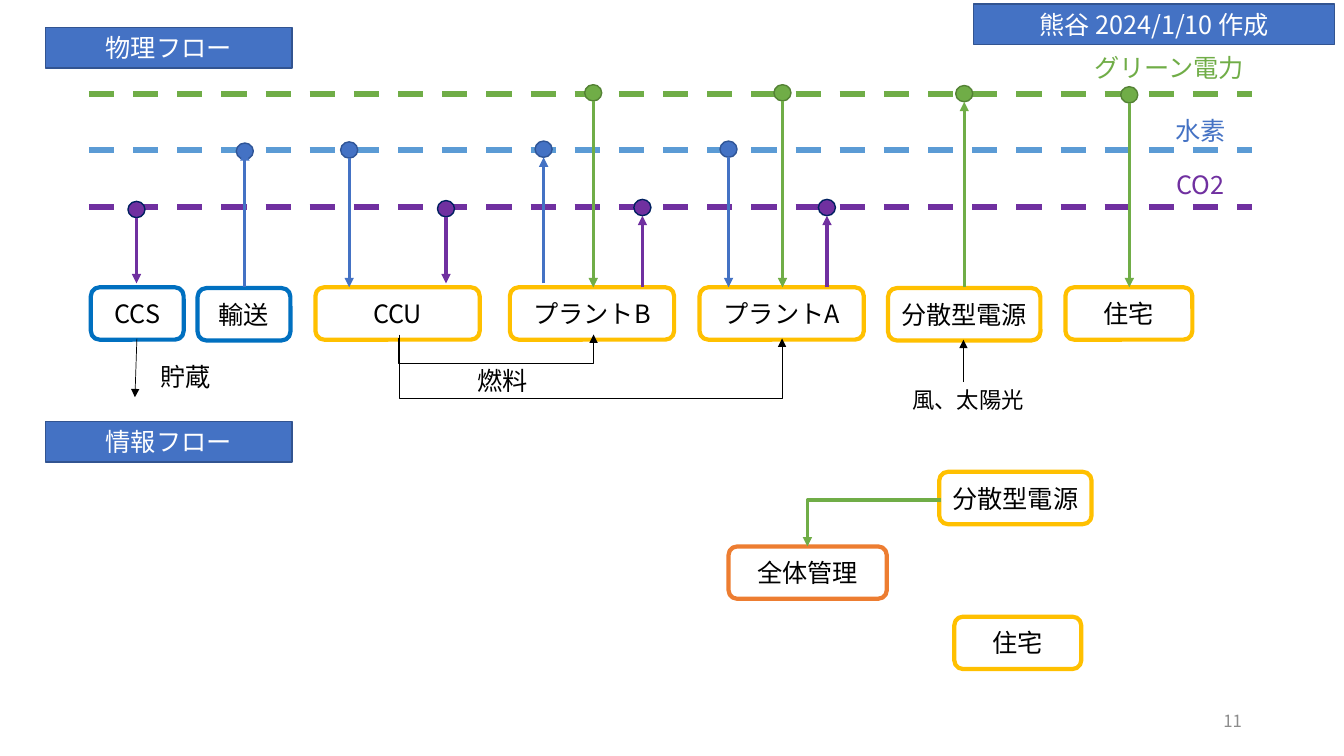
from dataclasses import dataclass

from lxml.etree import SubElement
from pptx import Presentation
from pptx.dml.color import RGBColor
from pptx.enum.dml import MSO_LINE
from pptx.enum.shapes import MSO_CONNECTOR, MSO_SHAPE
from pptx.enum.text import MSO_ANCHOR, MSO_AUTO_SIZE, PP_ALIGN
from pptx.oxml.ns import qn
from pptx.util import Cm, Pt

FONT = "Noto Sans CJK JP"
COLORS = {
    "black": "000000", "white": "FFFFFF", "grey": "8C8C8C",
    "banner": "4472C4", "banner_edge": "325491",
    "green": "70AD47", "green_edge": "548235",
    "hydrogen": "4472C4", "hydrogen_edge": "2F5597", "hydrogen_bus": "5B9BD5",
    "co2": "7030A0", "co2_edge": "002060",
    "plant": "FFC000", "carbon_sink": "0070C0", "management": "ED7D31",
}
DOT_WIDTH, DOT_HEIGHT = 0.43, 0.41
BOX_TOP, BOX_HEIGHT = 7.24, 1.32


@dataclass
class Bus:
    color: str
    y: float


@dataclass
class Box:
    text: str
    left: float
    top: float
    width: float
    color: str = "plant"


@dataclass
class Flow:
    """A link between a dot on a bus and a box; upward means towards the bus."""
    carrier: str
    x: float
    dot_y: float
    upward: bool = False
    box_y: float = BOX_TOP
    gap: float = DOT_HEIGHT / 2


@dataclass
class Label:
    text: str
    left: float
    top: float
    width: float
    color: str = "black"
    size: int = 18


BUSES = [Bus("co2", 5.21), Bus("hydrogen_bus", 3.78), Bus("green", 2.36)]
BOXES = [
    Box("CCS", 2.29, BOX_TOP, 2.34, "carbon_sink"),
    Box("輸送", 4.98, 7.26, 2.34, "carbon_sink"),
    Box("CCU", 7.95, BOX_TOP, 4.14),
    Box("プラントB", 12.85, BOX_TOP, 4.14),
    Box("プラントA", 17.63, BOX_TOP, 4.14),
    Box("分散型電源", 22.38, 7.26, 3.84),
    Box("住宅", 26.85, BOX_TOP, 3.2),
    Box("分散型電源", 23.67, 11.89, 3.84),
    Box("全体管理", 18.36, 13.77, 3.99, "management"),
    Box("住宅", 24.05, 15.54, 3.2),
]
FLOWS = [
    Flow("co2", 3.44, 5.28, box_y=7.14),
    Flow("co2", 11.24, 5.26, box_y=7.14),
    Flow("co2", 16.19, 5.23, upward=True),
    Flow("co2", 20.84, 5.23, upward=True),
    Flow("hydrogen", 6.17, 3.81, upward=True, gap=0),
    Flow("hydrogen", 8.8, 3.78),
    Flow("hydrogen", 13.7, 3.76, upward=True, box_y=7.14),
    Flow("hydrogen", 18.36, 3.76),
    Flow("green", 14.95, 2.34),
    Flow("green", 19.72, 2.34),
    Flow("green", 24.3, 2.36, upward=True),
    Flow("green", 28.46, 2.39),
]
LABELS = [
    Label("グリーン電力", 27.28, 1.19, 4.37, "green"),
    Label("水素", 29.36, 2.79, 1.8, "hydrogen"),
    Label("CO2", 29.36, 4.14, 1.78, "co2"),
    Label("貯蔵", 3.63, 8.97, 2.08),
    Label("燃料", 11.63, 9.09, 2.08),
    Label("風、太陽光", 22.38, 9.6, 4.04, size=16),
]


def rgb(name: str) -> RGBColor:
    return RGBColor.from_string(COLORS[name])


def write_text(shape, text: str, *, color="black", size=18, align=PP_ALIGN.CENTER,
               anchor=MSO_ANCHOR.MIDDLE) -> None:
    frame = shape.text_frame
    frame.auto_size = MSO_AUTO_SIZE.NONE
    frame.word_wrap = False
    frame.vertical_anchor = anchor
    paragraph = frame.paragraphs[0]
    paragraph.alignment = align
    run = paragraph.add_run()
    run.text = text
    run.font.size = Pt(size)
    run.font.name = FONT
    run.font.color.rgb = rgb(color)
    SubElement(run.font._element, qn("a:ea"), typeface=FONT)


def place(shape, left: float, top: float, width: float, height: float) -> None:
    shape.left, shape.top = Cm(left), Cm(top)
    shape.width, shape.height = Cm(width), Cm(height)


def paint(shape, fill: str | None, edge: str, weight: float) -> None:
    if fill:
        shape.fill.solid()
        shape.fill.fore_color.rgb = rgb(fill)
    else:
        shape.fill.background()
    shape.line.color.rgb = rgb(edge)
    shape.line.width = Pt(weight)


def add_preset(slide, preset, left: float, top: float, width: float, height: float):
    shape = slide.shapes.add_shape(preset, Cm(left), Cm(top), Cm(width), Cm(height))
    shape.shadow.inherit = False
    return shape


def make_banner(shape, text: str) -> None:
    paint(shape, "banner", "banner_edge", 1)
    write_text(shape, text, color="white")


def add_line(slide, start: tuple, end: tuple, color: str, weight: float, *,
             arrow=True, kind=MSO_CONNECTOR.STRAIGHT):
    connector = slide.shapes.add_connector(
        kind, Cm(start[0]), Cm(start[1]), Cm(end[0]), Cm(end[1]))
    connector.line.color.rgb = rgb(color)
    connector.line.width = Pt(weight)
    properties = connector._element.spPr
    if arrow:
        SubElement(properties.find(qn("a:ln")), qn("a:tailEnd"), type="triangle")
    SubElement(properties, qn("a:effectLst"))
    return connector


def add_fuel_line(slide, start: tuple, end: tuple, floor: float) -> None:
    """Draw a U-shaped arrow that dips to the floor: an elbow turned by 90 degrees."""
    connector = add_line(slide, start, end, "black", 0.5, kind=MSO_CONNECTOR.ELBOW)
    rise, run = end[1] - start[1], end[0] - start[0]
    width, height = abs(rise), abs(run)
    place(connector, (start[0] + end[0] - width) / 2,
          (start[1] + end[1] - height) / 2, width, height)
    properties = connector._element.spPr
    frame = properties.find(qn("a:xfrm"))
    frame.set("rot", str(90 * 60000))
    frame.set("flipV", "1")
    frame.set("flipH", "1" if rise < 0 else "0")
    guides = properties.find(qn("a:prstGeom")).get_or_add_avLst()
    depth = round((floor - start[1]) / rise * 100000)
    SubElement(guides, qn("a:gd"), name="adj1", fmla=f"val {depth}")


def add_flow(slide, flow: Flow) -> None:
    dot = add_preset(slide, MSO_SHAPE.OVAL, flow.x - DOT_WIDTH / 2,
                     flow.dot_y - DOT_HEIGHT / 2, DOT_WIDTH, DOT_HEIGHT)
    paint(dot, flow.carrier, f"{flow.carrier}_edge", 1)
    ends = [(flow.x, flow.dot_y + flow.gap), (flow.x, flow.box_y)]
    if flow.upward:
        ends.reverse()
    add_line(slide, *ends, flow.carrier, 2.25)


def add_label(slide, label: Label) -> None:
    shape = slide.shapes.add_textbox(
        Cm(label.left), Cm(label.top), Cm(label.width), Cm(1.02))
    write_text(shape, label.text, color=label.color, size=label.size,
               anchor=MSO_ANCHOR.TOP)


def main() -> None:
    presentation = Presentation()
    presentation.slide_width, presentation.slide_height = Cm(33.87), Cm(19.05)
    slide = presentation.slides.add_slide(presentation.slide_layouts[5])

    title = slide.shapes.title
    place(title, 1.14, 0.69, 6.22, 1.02)
    make_banner(title, "物理フロー")
    make_banner(add_preset(slide, MSO_SHAPE.RECTANGLE, 1.14, 10.62, 6.22, 1.02),
                "情報フロー")
    make_banner(add_preset(slide, MSO_SHAPE.RECTANGLE, 24.54, 0.1, 9.09, 1.02),
                "熊谷 2024/1/10 作成")

    for bus in BUSES:
        line = add_line(slide, (2.24, bus.y), (31.55, bus.y), bus.color, 4.5, arrow=False)
        line.line.dash_style = MSO_LINE.DASH
    for box in BOXES:
        shape = add_preset(slide, MSO_SHAPE.ROUNDED_RECTANGLE,
                           box.left, box.top, box.width, BOX_HEIGHT)
        paint(shape, None, box.color, 3)
        write_text(shape, box.text)
    for flow in FLOWS:
        add_flow(slide, flow)

    add_fuel_line(slide, (10.03, 8.53), (14.96, 8.43), 9.17)
    add_fuel_line(slide, (10.06, 8.43), (19.71, 8.53), 10.03)
    add_line(slide, (3.45, 8.53), (3.4, 10.01), "black", 0.5)
    add_line(slide, (24.28, 9.63), (24.28, 8.56), "black", 0.5)
    report = add_line(slide, (23.72, 12.6), (20.35, 13.77), "green", 2.25,
                      kind=MSO_CONNECTOR.ELBOW)
    report._element.spPr.find(qn("a:prstGeom")).set("prst", "bentConnector2")

    for label in LABELS:
        add_label(slide, label)
    page_number = slide.shapes.add_textbox(Cm(23.93), Cm(17.65), Cm(7.62), Cm(1.02))
    write_text(page_number, "11", color="grey", size=12, align=PP_ALIGN.RIGHT)

    presentation.save("out.pptx")


if __name__ == "__main__":
    main()
